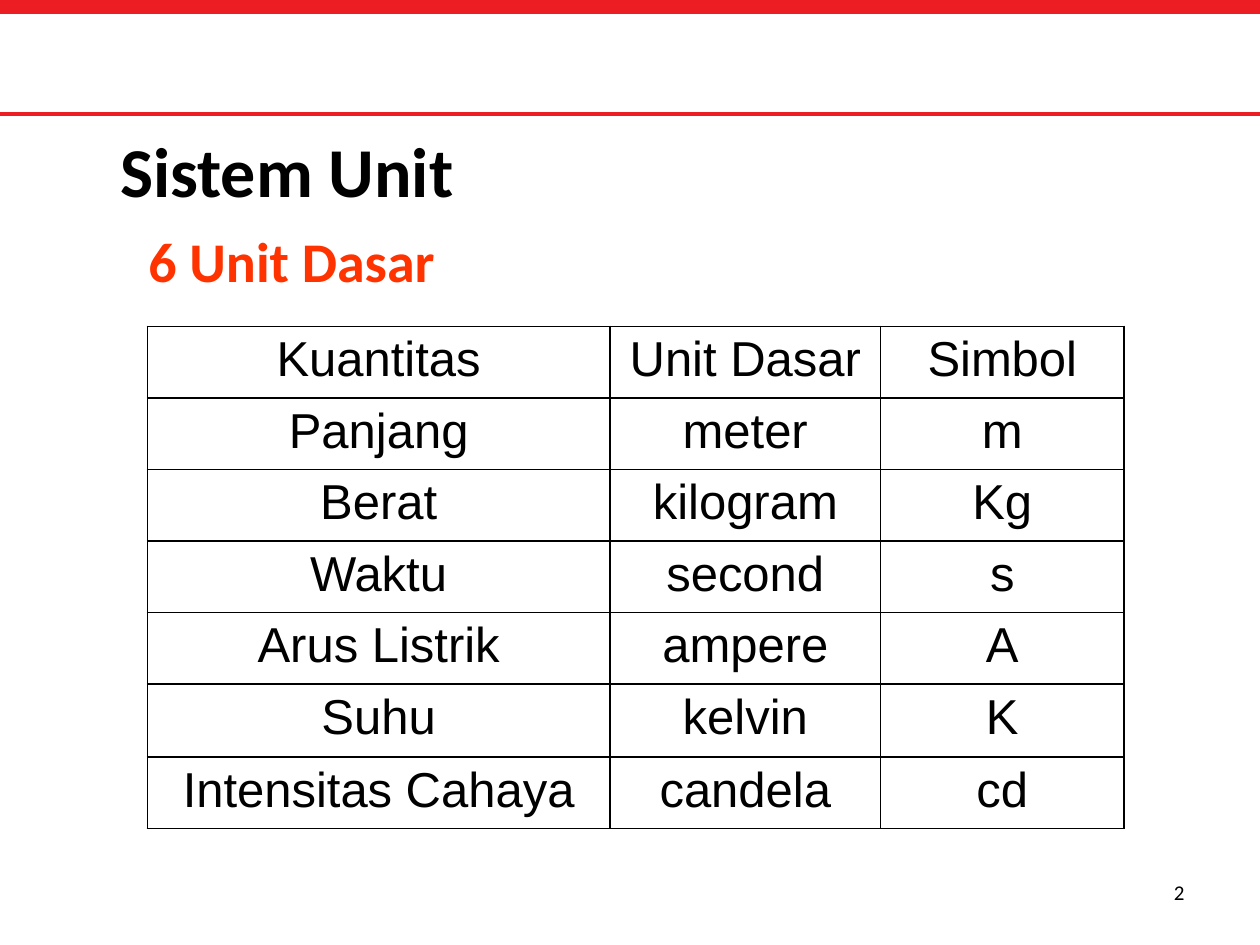
import pptx
import pptx.dml.color
import pptx.enum.shapes
import pptx.enum.text
import pptx.oxml
import pptx.oxml.ns
import pptx.util

Inches, Pt = pptx.util.Inches, pptx.util.Pt
RGBColor = pptx.dml.color.RGBColor
ALIGN = pptx.enum.text.PP_ALIGN
ANCHOR = pptx.enum.text.MSO_ANCHOR

RED = RGBColor(0xED, 0x1D, 0x24)
ORANGE = RGBColor(0xFF, 0x33, 0x00)
BLACK = RGBColor(0, 0, 0)

WIDTH, HEIGHT = 10, 7.5
UNITS = [
    ("Kuantitas", "Unit Dasar", "Simbol"),
    ("Panjang", "meter", "m"),
    ("Berat", "kilogram", "Kg"),
    ("Waktu", "second", "s"),
    ("Arus Listrik", "ampere", "A"),
    ("Suhu", "kelvin", "K"),
    ("Intensitas Cahaya", "candela", "cd"),
]
COLUMN_WIDTHS = [3.67, 2.15, 1.93]
ROW_HEIGHTS = [0.5, 0.55, 0.55, 0.55, 0.55, 0.58, 0.55]


def write(frame, text, align=ALIGN.LEFT, **font_values):
    """Fill a text frame with one formatted paragraph."""
    frame.word_wrap = True
    paragraph = frame.paragraphs[0]
    paragraph.alignment = align
    run = paragraph.add_run()
    run.text = text
    run.font.color.rgb = font_values.pop("color", BLACK)
    for name, value in font_values.items():
        setattr(run.font, name, value)
    return paragraph


def add_band(slide, top, height):
    band = slide.shapes.add_shape(
        pptx.enum.shapes.MSO_SHAPE.RECTANGLE,
        0, Inches(top), Inches(WIDTH), Inches(height))
    band.shadow.inherit = False
    band.fill.solid()
    band.fill.fore_color.rgb = RED
    band.line.fill.background()


def add_title(slide, text):
    title = slide.shapes.title
    box = {"left": 0.73, "top": 0.67, "width": 9.02, "height": 1.44}
    for name, value in box.items():
        setattr(title, name, Inches(value))
    title.text_frame.vertical_anchor = ANCHOR.MIDDLE
    paragraph = write(title.text_frame, text, name="Calibri", size=Pt(40), bold=True)
    paragraph.line_spacing = 0.9


def add_label(slide, box, text, anchor=ANCHOR.TOP, **format_values):
    label = slide.shapes.add_textbox(*map(Inches, box))
    label.text_frame.vertical_anchor = anchor
    write(label.text_frame, text, name="Calibri", **format_values)


def add_borders(cell):
    properties = cell._tc.get_or_add_tcPr()
    for side in ("lnL", "lnR", "lnT", "lnB"):
        properties.append(pptx.oxml.parse_xml(
            f'<a:{side} {pptx.oxml.ns.nsdecls("a")} w="{Pt(1)}"><a:solidFill>'
            f'<a:srgbClr val="{BLACK}"/></a:solidFill></a:{side}>'))


def add_unit_table(slide, left, top):
    table = slide.shapes.add_table(
        len(UNITS), len(COLUMN_WIDTHS), Inches(left), Inches(top),
        Inches(sum(COLUMN_WIDTHS)), Inches(sum(ROW_HEIGHTS))).table
    table.first_row = table.horz_banding = False
    for column, width in zip(table.columns, COLUMN_WIDTHS):
        column.width = Inches(width)
    for row, height, texts in zip(table.rows, ROW_HEIGHTS, UNITS):
        row.height = Inches(height)
        for cell, text in zip(row.cells, texts):
            add_borders(cell)
            cell.fill.background()
            write(cell.text_frame, text, ALIGN.CENTER, name="Arial", size=Pt(28), bold=False)


def main():
    deck = pptx.Presentation()
    deck.slide_width, deck.slide_height = Inches(WIDTH), Inches(HEIGHT)
    slide = deck.slides.add_slide(deck.slide_layouts[5])

    # Header bands
    add_band(slide, 0, 0.11)
    add_band(slide, 0.89, 0.03)

    # Headings
    add_title(slide, " Sistem Unit")
    add_label(slide, (1.08, 1.75, 3.33, 0.64), "6 Unit Dasar",
              size=Pt(32), bold=True, color=ORANGE)

    # Base units
    add_unit_table(slide, 1.17, 2.59)

    # Page number
    add_label(slide, (7.17, 6.83, 2.33, 0.5), "2", ANCHOR.MIDDLE,
              align=ALIGN.RIGHT, size=Pt(12))

    deck.save("out.pptx")


if __name__ == "__main__":
    main()
